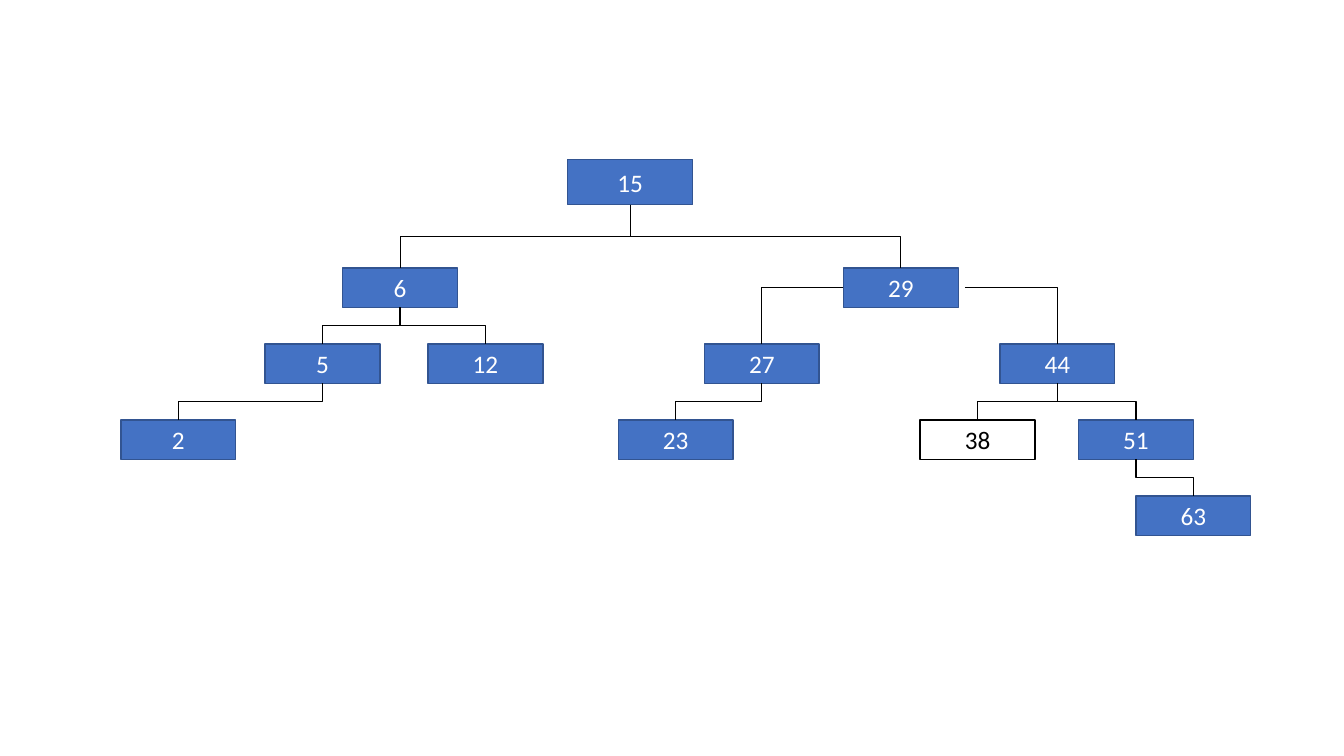
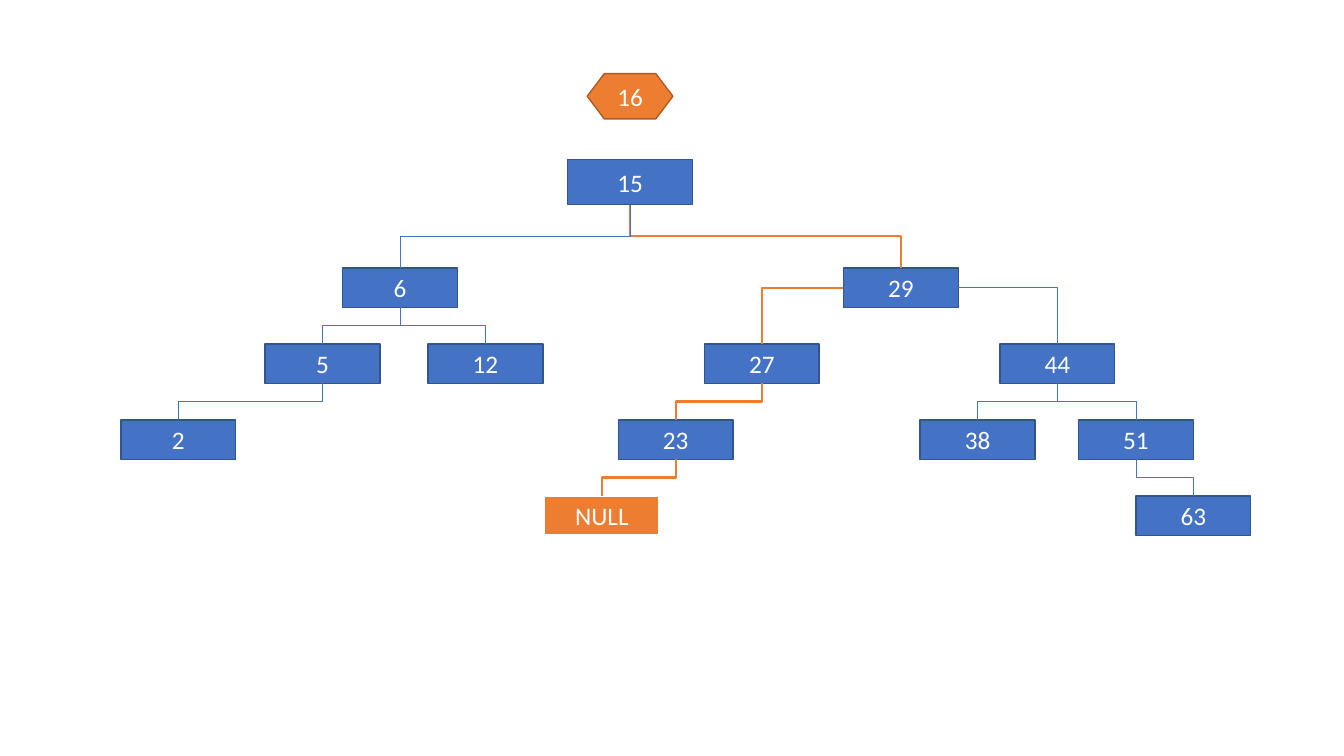
"""Build two slides of a binary search tree: inserting 38, then searching for 16."""
from dataclasses import dataclass, replace

from lxml.etree import SubElement
from pptx import Presentation
from pptx.dml.color import RGBColor
from pptx.enum.shapes import MSO_CONNECTOR as Connector, MSO_SHAPE as Preset
from pptx.enum.text import MSO_ANCHOR as Anchor, PP_ALIGN as Align
from pptx.oxml.ns import qn
from pptx.shapes.autoshape import Shape
from pptx.shapes.connector import Connector as Link
from pptx.slide import Slide
from pptx.util import Inches, Pt

COLORS = {
    "blue": "4472C4",
    "navy": "325491",
    "orange": "ED7D31",
    "rust": "AF5C24",
    "white": "FFFFFF",
    "black": "000000",
}
FONT, TEXT_SIZE = "Calibri", 18
SLIDE_WIDTH, SLIDE_HEIGHT = Inches(13.33), Inches(7.5)
COLUMN, ROW = SLIDE_WIDTH / 100, SLIDE_HEIGHT / 100
ROOT_ROW, FIRST_CHILD_ROW, LEVEL_STEP = 24.07, 38.05, 10.05
TOP, LEFT, BOTTOM, RIGHT = range(4)


@dataclass(frozen=True)
class Style:
    """Colours and outline weight of a box."""

    fill: str
    outline: str
    text: str = "white"
    weight: float = 1


@dataclass(frozen=True)
class Stroke:
    """Colour and weight of a link."""

    color: str
    weight: float


STORED = Style("blue", "navy")
INSERTED = Style("white", "black", "black")
SOUGHT = Style("orange", "rust")
MISSING = Style("orange", "white", weight=1.5)
PLAIN, PLAIN_ROOT = Stroke("black", 1), Stroke("black", 0.5)
UNVISITED, VISITED = Stroke("blue", 0.5), Stroke("orange", 1.5)


@dataclass(frozen=True)
class Node:
    """A box centred on a column and row of the grid."""

    label: str
    column: float
    row: float
    width: float = 8.55
    height: float = 5.2
    style: Style = STORED
    preset: Preset = Preset.RECTANGLE


@dataclass(frozen=True)
class Edge:
    """A link from one side of a parent to the top of its child."""

    parent: str
    child: str
    side: int = BOTTOM


def child_node(label: str, column: float, level: int, style: Style = STORED) -> Node:
    """Place a node on a level below the root."""
    return Node(label, column, FIRST_CHILD_ROW + (level - 1) * LEVEL_STEP, style=style)


TREE = [
    Node("15", 46.88, ROOT_ROW, 9.3, 6),
    child_node("6", 29.76, 1),
    child_node("5", 24, 2),
    child_node("12", 36.12, 2),
    child_node("29", 67.03, 1),
    child_node("27", 56.68, 2),
    child_node("44", 78.67, 2),
    child_node("51", 84.52, 3),
    child_node("2", 13.27, 3),
    child_node("63", 88.79, 4),
    child_node("23", 50.28, 3),
    child_node("38", 72.74, 3),
]
TREE_EDGES = [
    Edge("15", "29"),
    Edge("29", "27", LEFT),
    Edge("27", "23"),
    Edge("29", "44", RIGHT),
    Edge("44", "38"),
    Edge("44", "51"),
    Edge("51", "63"),
    Edge("15", "6"),
    Edge("6", "5"),
    Edge("6", "12"),
    Edge("5", "2"),
]
SEARCH_KEY = Node("16", 46.88, 12.73, 6.38, 6, SOUGHT, Preset.FLOWCHART_PREPARATION)
NULL_LEAF = child_node("NULL", 44.78, 4, MISSING)
SEARCH_ROUTE = {("15", "29"), ("29", "27"), ("27", "23"), ("23", "NULL")}
LOOSE_START = 71.79


def rgb(name: str) -> RGBColor:
    """Look up a palette colour."""
    return RGBColor.from_string(COLORS[name])


def draw_node(slide: Slide, node: Node) -> Shape:
    """Draw a node with its centred label."""
    box = slide.shapes.add_shape(
        node.preset,
        round((node.column - node.width / 2) * COLUMN),
        round((node.row - node.height / 2) * ROW),
        round(node.width * COLUMN),
        round(node.height * ROW),
    )
    box.shadow.inherit = False
    box.fill.solid()
    box.fill.fore_color.rgb = rgb(node.style.fill)
    box.line.color.rgb = rgb(node.style.outline)
    box.line.width = Pt(node.style.weight)
    frame = box.text_frame
    frame.text = node.label
    frame.vertical_anchor = Anchor.MIDDLE
    label = frame.paragraphs[0]
    label.alignment = Align.CENTER
    font = label.runs[0].font
    font.name, font.size = FONT, Pt(TEXT_SIZE)
    font.color.rgb = rgb(node.style.text)
    return box


def turn_downward(link: Link, start: tuple[int, int], end: tuple[int, int]) -> None:
    """Rotate an elbow so that it leaves its start vertically."""
    across, down = end[0] - start[0], end[1] - start[1]
    link.width, link.height = down, abs(across)
    link.left = (start[0] + end[0] - down) // 2
    link.top = (start[1] + end[1] - abs(across)) // 2
    transform = link.element.spPr.get_or_add_xfrm()
    transform.rot = 270 if across > 0 else 90
    transform.flipH = across > 0


def draw_edge(
    slide: Slide, edge: Edge, boxes: dict[str, Shape], stroke: Stroke, loose: bool
) -> None:
    """Draw an elbow link, glued at both ends unless its start is loose."""
    parent, child = boxes[edge.parent], boxes[edge.child]
    middle = parent.left + parent.width // 2
    center = parent.top + parent.height // 2
    start = {
        BOTTOM: (middle, parent.top + parent.height),
        LEFT: (parent.left, center),
        RIGHT: (parent.left + parent.width, center),
    }[edge.side]
    if loose:
        start = (round(LOOSE_START * COLUMN), center)
    end = (child.left + child.width // 2, child.top)
    link = slide.shapes.add_connector(Connector.ELBOW, *start, *end)
    if not loose:
        link.begin_connect(parent, edge.side)
    link.end_connect(child, TOP)
    if edge.side == BOTTOM:
        turn_downward(link, start, end)
    else:
        link.element.spPr.find(qn("a:prstGeom")).set("prst", "bentConnector2")
    link.line.color.rgb = rgb(stroke.color)
    link.line.width = Pt(stroke.weight)
    SubElement(link.element.spPr, qn("a:effectLst"))


def insertion_stroke(edge: Edge) -> Stroke:
    """Choose the stroke of a link on the insertion slide."""
    return PLAIN_ROOT if edge.parent == "15" else PLAIN


def search_stroke(edge: Edge) -> Stroke:
    """Choose the stroke of a link on the search slide."""
    return VISITED if (edge.parent, edge.child) in SEARCH_ROUTE else UNVISITED


def build_insertion(slide: Slide) -> None:
    """Draw the tree with 38 marked as newly inserted."""
    nodes = [replace(n, style=INSERTED) if n.label == "38" else n for n in TREE]
    boxes = {node.label: draw_node(slide, node) for node in nodes}
    for edge in TREE_EDGES:
        draw_edge(slide, edge, boxes, insertion_stroke(edge), edge.side == RIGHT)


def build_search(slide: Slide) -> None:
    """Draw the tree with the failed search for 16 marked."""
    nodes = [*TREE, SEARCH_KEY, NULL_LEAF]
    boxes = {node.label: draw_node(slide, node) for node in nodes}
    for edge in [*TREE_EDGES, Edge("23", "NULL")]:
        draw_edge(slide, edge, boxes, search_stroke(edge), False)


def main() -> None:
    """Build and save the presentation."""
    deck = Presentation()
    deck.slide_width, deck.slide_height = SLIDE_WIDTH, SLIDE_HEIGHT
    blank = deck.slide_layouts[6]
    for build in (build_insertion, build_search):
        build(deck.slides.add_slide(blank))
    deck.save("out.pptx")


main()
